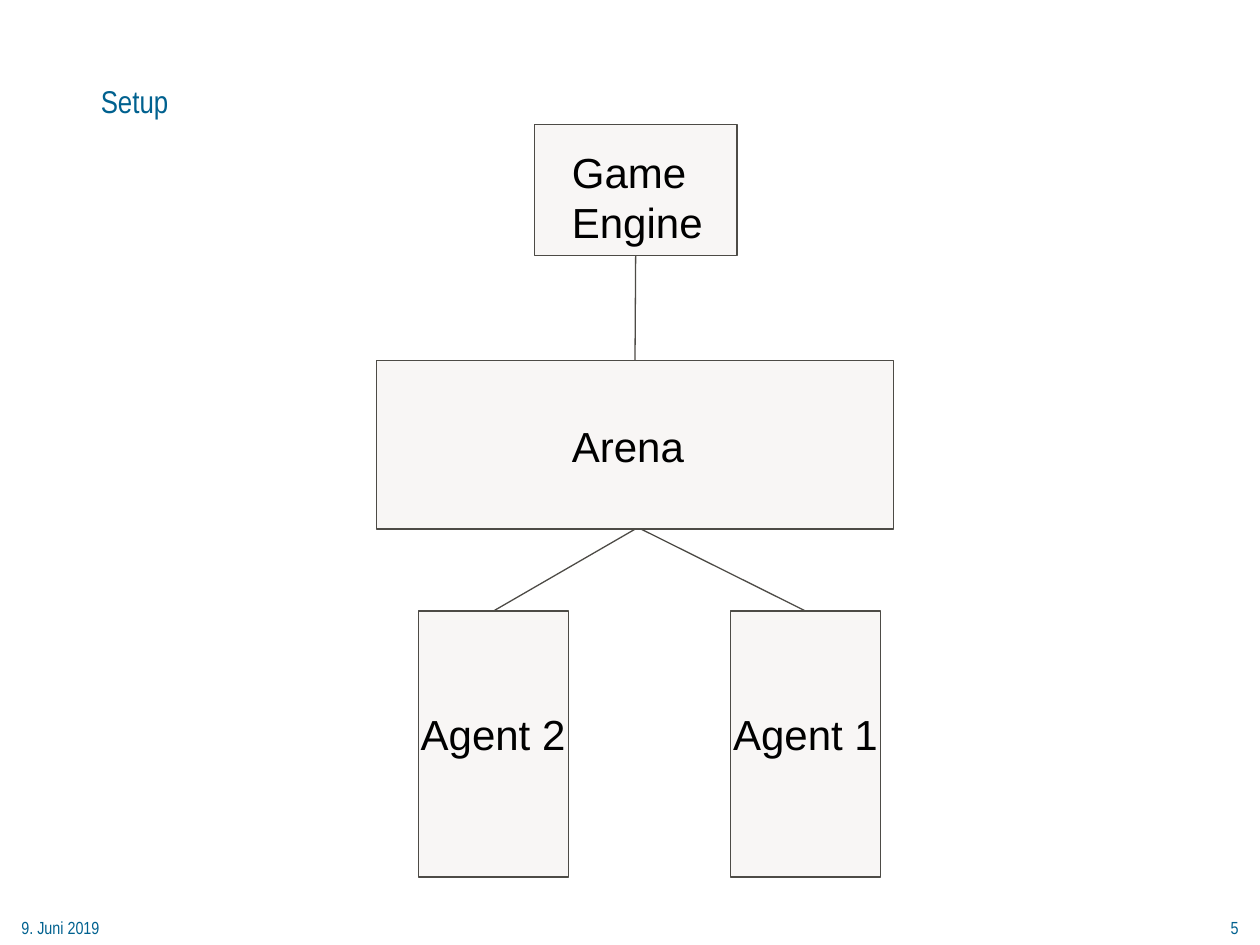
from lxml import etree
from pptx import Presentation
from pptx.dml.color import RGBColor
from pptx.enum.shapes import MSO_CONNECTOR as CONN, MSO_SHAPE as SHAPE
from pptx.enum.text import MSO_ANCHOR as ANCHOR, PP_ALIGN as ALIGN
from pptx.oxml.ns import qn
from pptx.util import Inches, Pt

BLUE, FILL, LINE = "00618F", "F8F6F5", "4D4B46"


def color(value):
    return RGBColor.from_string(value)


def write(sp, text, size=24, font="Arial", ink="000000", align=ALIGN.LEFT,
          anchor=ANCHOR.TOP, inset=(0.1, 0.1)):
    tf = sp.text_frame
    tf.word_wrap = True
    tf.vertical_anchor = anchor
    tf.margin_left = tf.margin_right = Inches(inset[0])
    tf.margin_top = tf.margin_bottom = Inches(inset[1])
    tf.text = text
    for p in tf.paragraphs:
        p.alignment = align
        for r in p.runs:
            r.font.size = Pt(size)
            r.font.name = font
            r.font.color.rgb = color(ink)


def add_text(s, box, text, **fmt):
    write(s.shapes.add_textbox(*map(Inches, box)), text, **fmt)


def add_line(s, start, end):
    sp = s.shapes.add_connector(CONN.STRAIGHT, *map(Inches, start + end))
    sp.line.color.rgb = color(LINE)
    sp.line.width = Pt(0.75)
    etree.SubElement(sp._element.spPr, qn("a:effectLst"))


def add_node(s, box, text, dx, dy):
    left, top, width, height = box
    sp = s.shapes.add_shape(SHAPE.RECTANGLE, *map(Inches, box))
    sp.shadow.inherit = False
    sp.fill.solid()
    sp.fill.fore_color.rgb = color(FILL)
    sp.line.color.rgb = color(LINE)
    sp.line.width = Pt(0.75)
    x = left + dx
    add_text(s, (x, top + dy, min(3.29, 10 - x), 0.79), text)
    middle = left + width / 2
    return (middle, top), (middle, top + height)


def add_title(s, box, text):
    sp = s.shapes.title
    sp.left, sp.top, sp.width, sp.height = map(Inches, box)
    write(sp, text, size=18, font="Arial Narrow", ink=BLUE,
          anchor=ANCHOR.BOTTOM, inset=(0.1, 0.05))


def add_footer(s, box, date, number):
    left, top, width, height = box
    fmt = dict(size=10, font="Arial Narrow", ink=BLUE, inset=(0, 0))
    add_text(s, (left, top, 0.65, height), date, **fmt)
    add_text(s, (left + width - 0.38, top, 0.38, height), number,
             align=ALIGN.RIGHT, **fmt)


def add_diagram(s, box):
    left, top, width, height = box
    agent_w, agent_h = 1.19, 2.11
    agent_y = top + height - agent_h
    _, engine_bottom = add_node(
        s, (left + 1.25, top, 1.61, 1.04), "Game\nEngine", 0.2, 0.07)
    arena_top, arena_bottom = add_node(
        s, (left, top + 1.87, width, 1.34), "Arena", 1.45, 0.38)
    add_line(s, engine_bottom, arena_top)
    x, y = arena_bottom
    for name, dx, shift in (("Agent 2", 0.33, 0), ("Agent 1", 2.81, 0.05)):
        agent_top, _ = add_node(
            s, (left + dx, agent_y, agent_w, agent_h), name, -0.08, 0.67)
        add_line(s, agent_top, (x + shift, y))


def main():
    prs = Presentation()
    prs.slide_width, prs.slide_height = Inches(10), Inches(7.5)
    s = prs.slides.add_slide(prs.slide_layouts[5])
    add_title(s, (0.7, 0.13, 7.22, 0.87), "Setup")
    add_diagram(s, (2.99, 0.99, 4.1, 5.97))
    add_footer(s, (0.17, 7.28, 9.66, 0.2), "9. Juni 2019", "5")
    prs.save("out.pptx")


if __name__ == "__main__":
    main()
